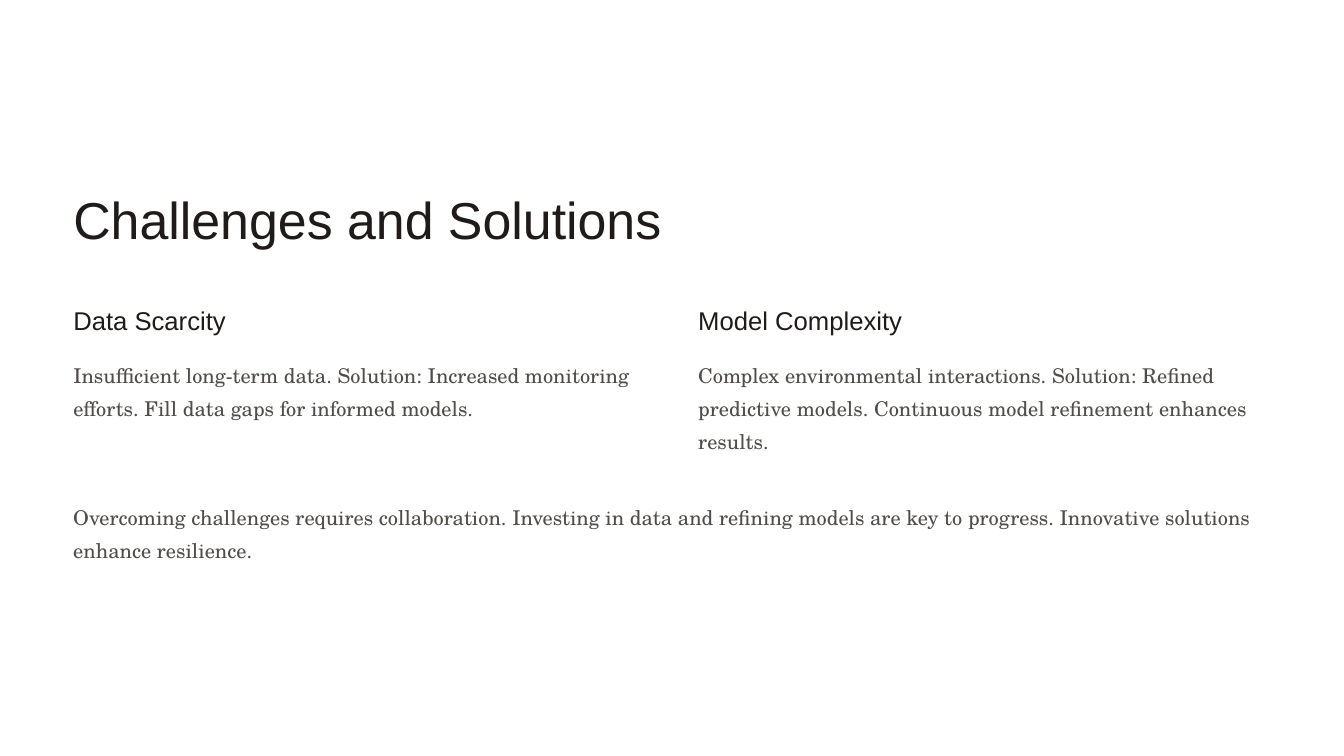
from lxml import etree
from pptx import Presentation
from pptx.dml.color import RGBColor
from pptx.enum.shapes import MSO_SHAPE
from pptx.enum.text import MSO_ANCHOR, MSO_AUTO_SIZE, PP_ALIGN
from pptx.oxml.ns import qn
from pptx.util import Pt

PX = 9144  # 100 px to the inch
SLIDE_W, SLIDE_H = 2000, 1125
COMPARISON = 4
RECTANGLE = MSO_SHAPE.RECTANGLE
TOP, LEFT, NO_FIT = MSO_ANCHOR.TOP, PP_ALIGN.LEFT, MSO_AUTO_SIZE.NONE
COLORS = {"panel": "FFFFFF", "heading": "201B18", "body": "504C49"}
TITLE = dict(size=55.6, leading=69.4, font="Arial", color="heading")
HEADING = dict(size=27.5, leading=34.4, font="Arial", color="heading")
BODY = dict(size=21.8, leading=35.6, font="TeX Gyre Schola", color="body")

MARGIN, CONTENT_W = 109, 1783
COLUMN_W, COLUMN_STEP = 854, 930
COLUMNS = [
    ("Data Scarcity",
     "Insufficient long-term data. Solution: Increased monitoring efforts. "
     "Fill data gaps for informed models.", 106),
    ("Model Complexity",
     "Complex environmental interactions. Solution: Refined predictive models. "
     "Continuous model refinement enhances results.", 156),
]
CLOSING = ("Overcoming challenges requires collaboration. Investing in data and refining "
           "models are key to progress. Innovative solutions enhance resilience.")


def write(sp, text, box, *, size, leading, font, color):
    """Place a text shape in a px box and fill it with one plain paragraph."""
    sp.left, sp.top, sp.width, sp.height = (v * PX for v in box)
    tf = sp.text_frame
    tf.word_wrap, tf.auto_size, tf.vertical_anchor = True, NO_FIT, TOP
    tf.margin_left = tf.margin_top = tf.margin_right = tf.margin_bottom = 0
    p = tf.paragraphs[0]
    pPr = p._p.get_or_add_pPr()
    pPr.set("marL", "0")
    pPr.set("indent", "0")
    etree.SubElement(pPr, qn("a:buNone"))
    p.alignment, p.space_before, p.line_spacing = LEFT, Pt(0), Pt(leading)
    r = p.add_run()
    r.text = text
    r.font.name, r.font.size, r.font.bold = font, Pt(size), False
    r.font.color.rgb = RGBColor.from_string(COLORS[color])


def add_panel(s, box):
    """Add the plain panel behind the text."""
    sp = s.shapes.add_shape(RECTANGLE, *(v * PX for v in box))
    sp.shadow.inherit = False
    sp.fill.solid()
    sp.fill.fore_color.rgb = RGBColor.from_string(COLORS["panel"])
    sp.line.fill.background()
    s.shapes._spTree.insert(2, sp._element)


def add_column(heading_sp, body_sp, left, top, column):
    heading, body, body_h = column
    write(heading_sp, heading, (left, top, 388, 52), **HEADING)
    write(body_sp, body, (left, top + 76, COLUMN_W, body_h), **BODY)


def add_comparison_slide(prs):
    s = prs.slides.add_slide(prs.slide_layouts[COMPARISON])
    add_panel(s, (0, 0, SLIDE_W, SLIDE_H))
    write(s.shapes.title, "Challenges and Solutions", (MARGIN, 275, 959, 102), **TITLE)
    holders = s.placeholders
    for i, column in enumerate(COLUMNS):
        add_column(holders[2 * i + 1], holders[2 * i + 2],
                   MARGIN + i * COLUMN_STEP, 451, column)
    closing = s.shapes.add_textbox(0, 0, 0, 0)
    write(closing, CLOSING, (MARGIN, 739, CONTENT_W, 106), **BODY)


def main():
    prs = Presentation()
    prs.slide_width, prs.slide_height = SLIDE_W * PX, SLIDE_H * PX
    add_comparison_slide(prs)
    prs.save("out.pptx")


if __name__ == "__main__":
    main()
